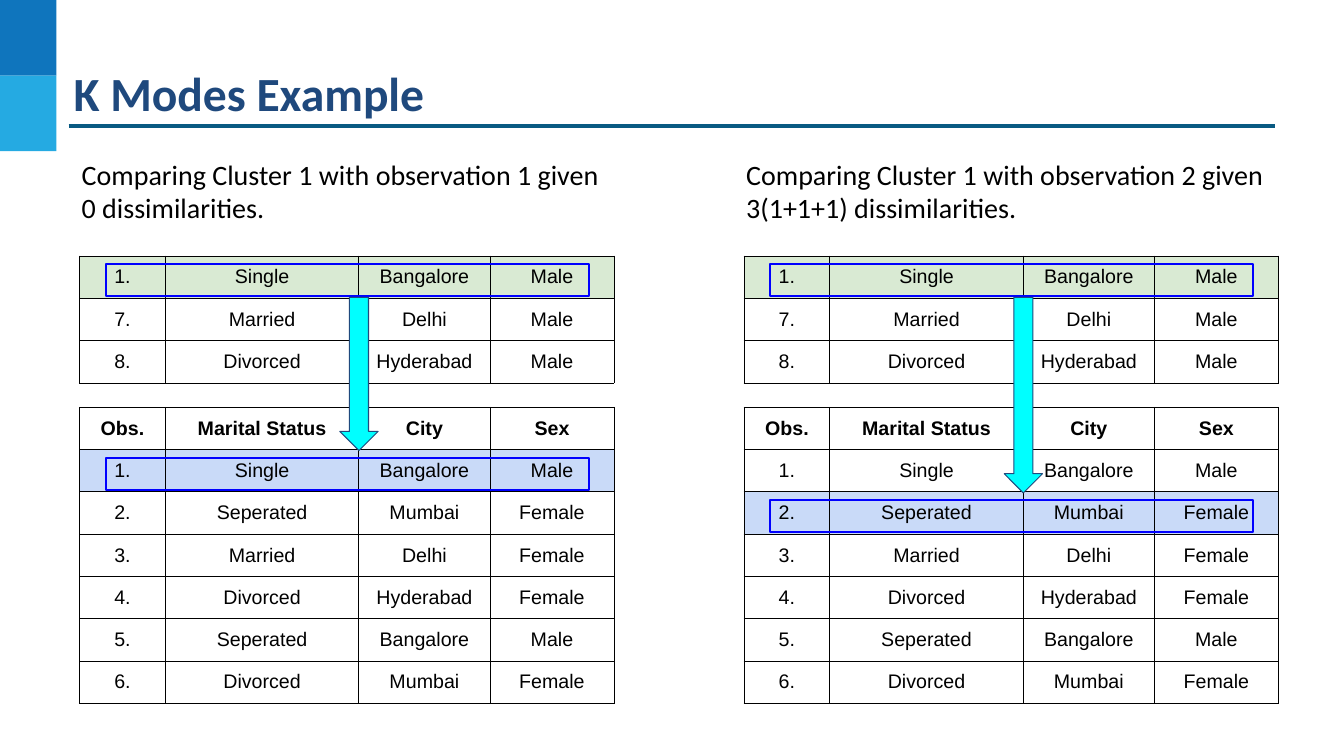
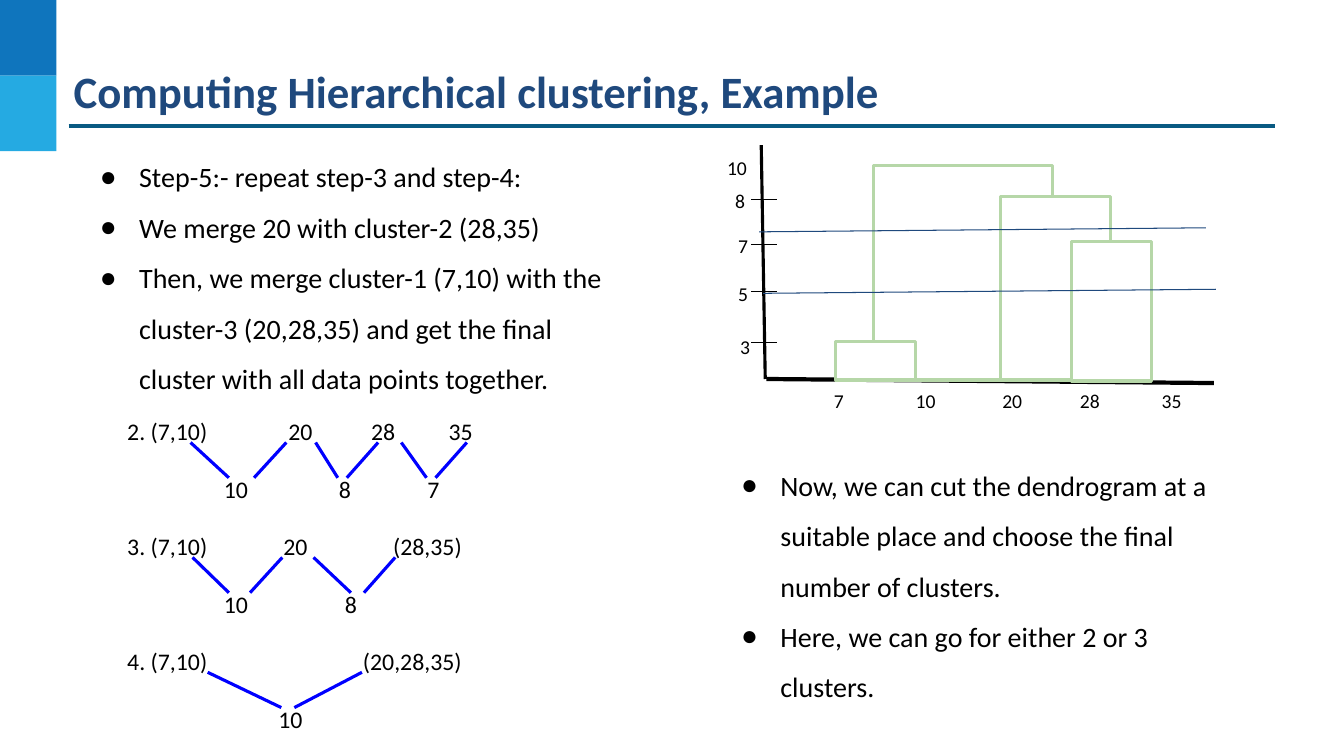
from dataclasses import dataclass

from pptx import Presentation
from pptx.dml.color import RGBColor
from pptx.enum.shapes import MSO_CONNECTOR, MSO_SHAPE
from pptx.enum.text import MSO_ANCHOR as Anchor, MSO_AUTO_SIZE as AutoSize, PP_ALIGN as Align
from pptx.oxml.ns import qn
from pptx.oxml.xmlchemy import OxmlElement
from pptx.util import Inches, Pt

# Grid: 13.33 columns by 7.5 rows, one inch a cell
COLS, ROWS = 13.33, 7.5
COL, ROW = Inches(1), Inches(1)

BLACK, WHITE = "000000", "FFFFFF"
NAVY, TEAL = "1F497D", "095A82"
BAND_DARK, BAND_LIGHT = "0F75BD", "25AAE2"
BLUE, CYAN = "0000FF", "00FFFF"
PALE_BLUE, PALE_GREEN, GREEN = "C9DAF8", "D9EAD3", "B6D7A8"
SANS, TABLE_FONT = "Calibri", "Arial"

COLUMN_WIDTHS = (0.85, 1.92, 1.3, 1.23)
ROW_HEIGHT = 0.42
MODES_TOP, DATA_TOP = 2.54, 4.04
MODES = (
    ("1.", "Single", "Bangalore", "Male"),
    ("7.", "Married", "Delhi", "Male"),
    ("8.", "Divorced", "Hyderabad", "Male"),
)
OBSERVATIONS = (
    ("Obs.", "Marital Status", "City", "Sex"),
    ("1.", "Single", "Bangalore", "Male"),
    ("2.", "Seperated", "Mumbai", "Female"),
    ("3.", "Married", "Delhi", "Female"),
    ("4.", "Divorced", "Hyderabad", "Female"),
    ("5.", "Seperated", "Bangalore", "Male"),
    ("6.", "Divorced", "Mumbai", "Female"),
)


@dataclass(frozen=True)
class Box:
    left: float
    top: float
    width: float
    height: float

    def emu(self) -> tuple:
        return (round(self.left * COL), round(self.top * ROW),
                round(self.width * COL), round(self.height * ROW))


@dataclass(frozen=True)
class Line:
    x1: float
    y1: float
    x2: float
    y2: float
    color: str = BLACK
    weight: float = 0.75


@dataclass(frozen=True)
class Label:
    """Text centred on a point of the grid."""
    text: str
    x: float
    y: float


@dataclass(frozen=True)
class Comparison:
    caption: str
    left: float
    observation: int


@dataclass(frozen=True)
class Merge:
    """A distance below two clusters, with the x of its strokes from left to right."""
    distance: str
    x: float
    strokes: tuple


@dataclass(frozen=True)
class Round:
    clusters: tuple
    merges: tuple


COMPARISONS = (
    Comparison("Comparing Cluster 1 with observation 1 given 0 dissimilarities.", 0.79, 1),
    Comparison("Comparing Cluster 1 with observation 2 given 3(1+1+1) dissimilarities.", 7.38, 2),
)

STEPS = ("Step-5:- repeat step-3 and step-4:\n"
         "We merge 20 with cluster-2 (28,35)\n"
         "Then, we merge cluster-1 (7,10) with the cluster-3 (20,28,35) "
         "and get the final cluster with all data points together.")
CONCLUSION = ("Now, we can cut the dendrogram at a suitable place and choose "
              "the final number of clusters.\n"
              "Here, we can go for either 2 or 3 clusters.")

AXES = (Line(7.55, 1.44, 7.59, 3.76, weight=2.25), Line(7.6, 3.76, 12.04, 3.8, weight=3))
LINKS = (  # box, fill
    (Box(8.66, 1.64, 1.78, 2.13), None),
    (Box(8.29, 3.39, 0.79, 0.38), WHITE),
    (Box(9.92, 1.95, 1.09, 1.82), WHITE),
    (Box(10.63, 2.4, 0.79, 1.38), WHITE),
)
TICKS = (1.98, 2.43, 2.89, 3.4)
CUTS = (Line(7.53, 2.3, 11.96, 2.26, NAVY), Line(7.57, 2.91, 12.06, 2.87, NAVY))
AXIS_LABELS = (
    Label("10", 7.31, 1.66), Label("8", 7.34, 1.99), Label("7", 7.37, 2.44),
    Label("5", 7.37, 2.91), Label("3", 7.39, 3.44),
    Label("7", 8.32, 3.98), Label("10", 9.18, 3.98), Label("20", 10.04, 3.98),
    Label("28", 10.81, 3.98), Label("35", 11.62, 3.98),
)

ROUNDS_TOP, LINE_STEP, STROKE_GAP = 4.28, 0.57, 0.11
ROUNDS = (
    Round((("2. (7,10)", 1.66), ("20", 2.98), ("28", 3.8), ("35", 4.57)),
          (Merge("10", 2.34, (1.89, 2.27, 2.52, 2.84)),
           Merge("8", 3.42, (3.13, 3.35, 3.44, 3.75)),
           Merge("7", 4.3, (3.98, 4.23, 4.32, 4.63)))),
    Round((("3. (7,10)", 1.66), ("20", 2.93), ("(28,35)", 4.24)),
          (Merge("10", 2.34, (1.91, 2.27, 2.48, 2.8)),
           Merge("8", 3.48, (3.11, 3.48, 3.61, 3.92)))),
    Round((("4. (7,10)", 1.66), ("(20,28,35)", 4.09)),
          (Merge("10", 2.88, (2.06, 2.79, 2.92, 3.59)),)),
)


def rgb(color: str) -> RGBColor:
    return RGBColor.from_string(color)


def write(tf, text: str, *, size: float, font: str = SANS, color: str = BLACK,
          bold: bool = False, align=Align.LEFT, spacing: float = 1.0) -> None:
    """Fill a text frame, one paragraph for each line of the text."""
    for i, line in enumerate(text.split("\n")):
        p = tf.add_paragraph() if i else tf.paragraphs[0]
        p.alignment, p.line_spacing, p.space_before = align, spacing, Pt(0)
        r = p.add_run()
        r.text = line
        r.font.size, r.font.name, r.font.bold = Pt(size), font, bold
        r.font.color.rgb = rgb(color)


def frame(tf, inset: float, anchor=Anchor.TOP) -> None:
    """Set insets and anchor of a wrapped frame of fixed size."""
    tf.word_wrap, tf.auto_size, tf.vertical_anchor = True, AutoSize.NONE, anchor
    tf.margin_left = tf.margin_right = tf.margin_top = tf.margin_bottom = Inches(inset)


def place(sp, box: Box) -> None:
    sp.left, sp.top, sp.width, sp.height = box.emu()


def add_shape(slide, kind, box: Box, fill: str | None = None,
              line: str | None = None, weight: float = 0.75):
    sp = slide.shapes.add_shape(kind, *box.emu())
    sp.shadow.inherit = False
    if fill:
        sp.fill.solid()
        sp.fill.fore_color.rgb = rgb(fill)
    else:
        sp.fill.background()
    if line:
        sp.line.color.rgb, sp.line.width = rgb(line), Pt(weight)
    else:
        sp.line.fill.background()
    return sp


def add_line(slide, line: Line):
    cx = slide.shapes.add_connector(
        MSO_CONNECTOR.STRAIGHT, round(line.x1 * COL), round(line.y1 * ROW),
        round(line.x2 * COL), round(line.y2 * ROW))
    cx.line.color.rgb, cx.line.width = rgb(line.color), Pt(line.weight)
    cx._element.spPr.append(OxmlElement("a:effectLst"))
    return cx


def add_label(slide, label: Label, size: float) -> None:
    box = Box(label.x - 0.6, label.y - 0.2, 1.2, 0.4)
    tf = slide.shapes.add_textbox(*box.emu()).text_frame
    frame(tf, 0, Anchor.MIDDLE)
    write(tf, label.text, size=size, align=Align.CENTER)


def fill_body(sp, box: Box, text: str, bullet: str | None = None) -> None:
    """Move a body placeholder and write it as a list or as plain text."""
    place(sp, box)
    frame(sp.text_frame, 0.1)
    write(sp.text_frame, text, size=20, spacing=1.5 if bullet else 1.0)
    for p in sp.text_frame.paragraphs:
        pPr = p._p.get_or_add_pPr()
        pPr.set("marL", str(Inches(0.5 if bullet else 0)))
        pPr.set("indent", str(Inches(-0.39 if bullet else 0)))
        mark = OxmlElement("a:buChar" if bullet else "a:buNone")
        if bullet:
            mark.set("char", bullet)
        pPr.append(mark)


def add_borders(cell) -> None:
    tcPr = cell._tc.get_or_add_tcPr()
    for side in ("a:lnL", "a:lnR", "a:lnT", "a:lnB"):
        ln, fill, clr = (OxmlElement(t) for t in (side, "a:solidFill", "a:srgbClr"))
        ln.set("w", str(Pt(0.75)))
        clr.set("val", BLACK)
        fill.append(clr)
        ln.append(fill)
        tcPr.append(ln)


def add_table(slide, left: float, top: float, rows: tuple, marked: int,
              mark: str, header: bool = False) -> None:
    """Draw a bordered table with one row filled in the mark colour."""
    box = Box(left, top, sum(COLUMN_WIDTHS), ROW_HEIGHT * len(rows))
    table = slide.shapes.add_table(len(rows), len(COLUMN_WIDTHS), *box.emu()).table
    table.first_row = table.horz_banding = False
    for column, width in zip(table.columns, COLUMN_WIDTHS):
        column.width = round(width * COL)
    for i, row in enumerate(rows):
        table.rows[i].height = round(ROW_HEIGHT * ROW)
        for j, text in enumerate(row):
            cell = table.cell(i, j)
            cell.margin_left = cell.margin_right = cell.margin_top = Inches(0.1)
            cell.margin_bottom = Inches(0.09)
            write(cell.text_frame, text, size=14, font=TABLE_FONT,
                  bold=header and i == 0, align=Align.CENTER)
            add_borders(cell)
            if i == marked:
                cell.fill.solid()
                cell.fill.fore_color.rgb = rgb(mark)
            else:
                cell.fill.background()


def dress_layout(layout, slide) -> None:
    """Put the bands, the rule and the title place on the layout, by way of a slide."""
    place(layout.placeholders[0], Box(0.71, 0.61, 12.29, 0.83))
    for sp in (add_shape(slide, MSO_SHAPE.RECTANGLE, Box(0, 0, 0.56, 0.75), BAND_DARK),
               add_shape(slide, MSO_SHAPE.RECTANGLE, Box(0, 0.75, 0.56, 0.75), BAND_LIGHT),
               add_line(slide, Line(0.68, 1.25, 12.65, 1.25, TEAL, 2.25))):
        layout.shapes._spTree.append(sp._element)


def set_title(slide, text: str, size: float) -> None:
    tf = slide.shapes.title.text_frame
    frame(tf, 0.02)
    write(tf, text, size=size, color=NAVY, bold=True)


def draw_k_modes(slide) -> None:
    set_title(slide, "K Modes Example", 34)
    for c, body in zip(COMPARISONS, list(slide.placeholders)[1:]):
        fill_body(body, Box(c.left - 0.08, 1.46, 5.48, 0.88), c.caption)
        add_table(slide, c.left, DATA_TOP, OBSERVATIONS, c.observation, PALE_BLUE, header=True)
        add_table(slide, c.left, MODES_TOP, MODES, 0, PALE_GREEN)
        row_top = DATA_TOP + ROW_HEIGHT * c.observation
        for top in (MODES_TOP, row_top):
            add_shape(slide, MSO_SHAPE.RECTANGLE, Box(c.left + 0.26, top + 0.08, 4.79, 0.32),
                      line=BLUE, weight=1.5)
        add_shape(slide, MSO_SHAPE.DOWN_ARROW, Box(c.left + 2.58, 2.95, 0.38, row_top - 2.94),
                  CYAN, NAVY)


def draw_dendrogram(slide) -> None:
    for axis in AXES:
        add_line(slide, axis)
    for box, fill in LINKS:
        add_shape(slide, MSO_SHAPE.RECTANGLE, box, fill, GREEN, 2.25)
    for line in (*(Line(7.45, y, 7.71, y) for y in TICKS), *CUTS):
        add_line(slide, line)
    for label in AXIS_LABELS:
        add_label(slide, label, 14)


def draw_rounds(slide) -> None:
    for i, rnd in enumerate(ROUNDS):
        top = ROUNDS_TOP + 2 * i * LINE_STEP
        bottom = top + LINE_STEP
        for text, x in rnd.clusters:
            add_label(slide, Label(text, x, top), 17)
        for merge in rnd.merges:
            add_label(slide, Label(merge.distance, merge.x, bottom), 17)
            x1, x2, x3, x4 = merge.strokes
            for outer, inner in ((x1, x2), (x4, x3)):
                add_line(slide, Line(outer, top + STROKE_GAP, inner, bottom - STROKE_GAP,
                                     BLUE, 2.25))


def draw_hierarchical(slide) -> None:
    set_title(slide, "Computing Hierarchical clustering, Example", 32)
    steps, conclusion = list(slide.placeholders)[1:]
    fill_body(steps, Box(0.78, 1.32, 5.57, 2.56), STEPS, "●")
    fill_body(conclusion, Box(7.14, 4.38, 5.14, 2.56), CONCLUSION, "●")
    draw_dendrogram(slide)
    draw_rounds(slide)


def main() -> None:
    prs = Presentation()
    prs.slide_width, prs.slide_height = round(COLS * COL), round(ROWS * ROW)
    layout = prs.slide_layouts.get_by_name("Two Content")
    k_modes, hierarchical = (prs.slides.add_slide(layout) for _ in range(2))
    dress_layout(layout, k_modes)
    draw_k_modes(k_modes)
    draw_hierarchical(hierarchical)
    prs.save("out.pptx")


if __name__ == "__main__":
    main()
